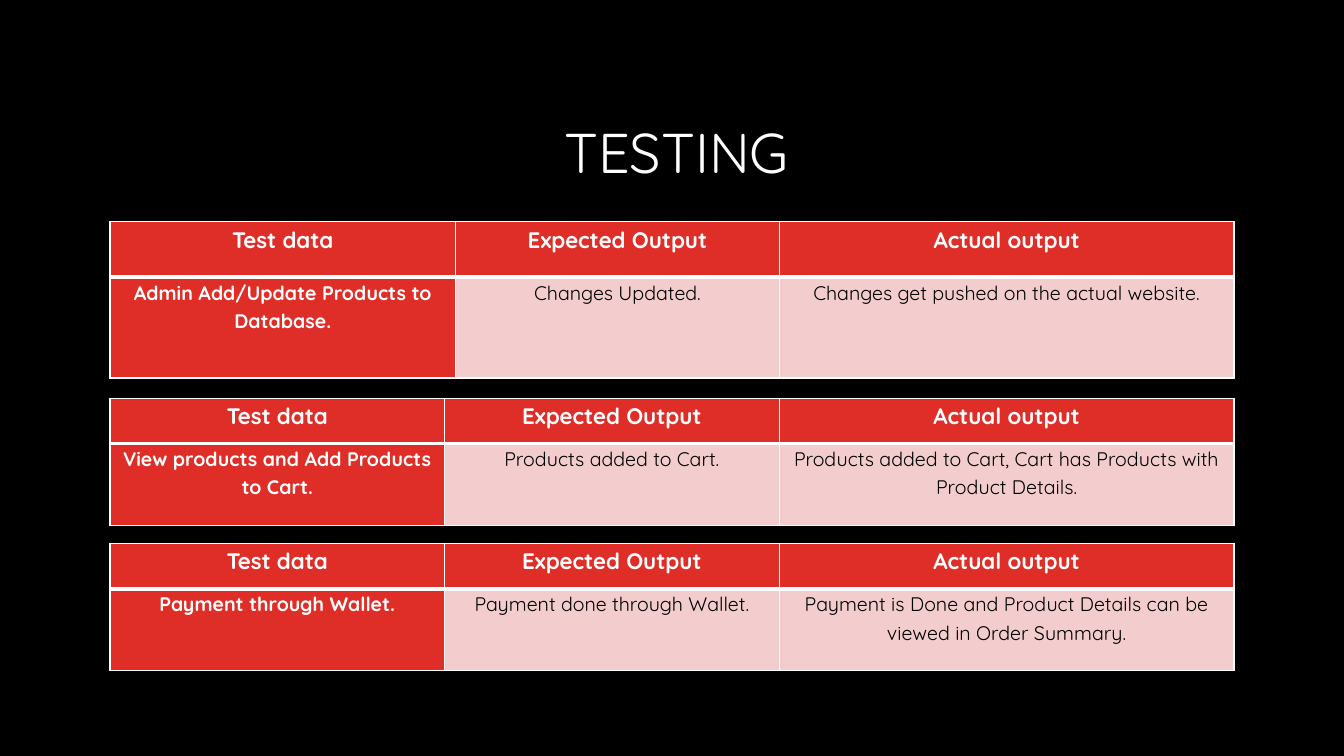
from lxml import etree
from pptx import Presentation
from pptx.dml.color import RGBColor
from pptx.enum.text import MSO_ANCHOR, PP_ALIGN
from pptx.oxml.ns import qn
from pptx.util import Inches, Pt

CENTER = PP_ALIGN.CENTER
MIDDLE = MSO_ANCHOR.MIDDLE
FONT = "Quicksand"
WHITE, BLACK, RED, PINK = "FFFFFF", "000000", "DF2E28", "F3CDCD"
HEADINGS = ["Test data", "Expected Output", "Actual output"]
HEADER = {"size": Pt(16), "bold": True}
LABEL = {"size": Pt(14), "bold": True}
VALUE = {"size": Pt(14), "bold": False}
TESTS = [
    (2.2, [3.43, 3.21, 4.51], [0.55, 1],
     ["Admin Add/Update Products to Database.", "Changes Updated.",
      "Changes get pushed on the actual website."]),
    (3.95, [3.32, 3.32, 4.51], [0.45, 0.81],
     ["View products and Add Products to Cart.", "Products added to Cart.",
      "Products added to Cart, Cart has Products with Product Details."]),
    (5.39, [3.32, 3.32, 4.51], [0.45, 0.81],
     ["Payment through Wallet.", "Payment done through Wallet.",
      "Payment is Done and Product Details can be viewed in Order Summary."]),
]


def rgb(value):
    return RGBColor.from_string(value)


def write(tf, text, color, style, spacing):
    p = tf.paragraphs[0]
    p.alignment = CENTER
    p.line_spacing = spacing
    r = p.add_run()
    r.text = text
    r.font.name = FONT
    r.font.color.rgb = rgb(color)
    for name, value in style.items():
        setattr(r.font, name, value)
    return p


def add_borders(cell, widths):
    tc_pr = cell._tc.get_or_add_tcPr()
    for i, (side, width) in enumerate(widths.items()):
        ln = etree.Element(qn(f"a:ln{side}"), w=str(Pt(width)))
        fill = etree.SubElement(ln, qn("a:solidFill"))
        etree.SubElement(fill, qn("a:srgbClr"), val=WHITE)
        tc_pr.insert(i, ln)


def fill_cell(cell, text, fill, color, style, widths):
    margins = {"margin_left": 0.07, "margin_right": 0.07,
               "margin_top": 0, "margin_bottom": 0}
    for name, value in margins.items():
        setattr(cell, name, Inches(value))
    cell.fill.solid()
    cell.fill.fore_color.rgb = rgb(fill)
    p = write(cell.text_frame, text, color, style, 1.15)
    p.space_after = Pt(10)
    add_borders(cell, widths)


def add_title(s, left, top, width, height):
    box = s.shapes.add_textbox(*map(Inches, (left, top, width, height)))
    tf = box.text_frame
    tf.word_wrap = True
    tf.vertical_anchor = MIDDLE
    write(tf, "TESTING", WHITE, {"size": Pt(40)}, 0.9)


def add_test(s, left, top, cols, rows, result):
    box = map(Inches, (left, top, sum(cols), sum(rows)))
    table = s.shapes.add_table(len(rows), len(cols), *box).table
    for column, width in zip(table.columns, cols):
        column.width = Inches(width)
    for row, height in zip(table.rows, rows):
        row.height = Inches(height)
    for i, (heading, text) in enumerate(zip(HEADINGS, result)):
        fill_cell(table.cell(0, i), heading, RED, WHITE, HEADER,
                  {"L": 1, "R": 1, "T": 1, "B": 3})
        look = (RED, WHITE, LABEL) if i == 0 else (PINK, BLACK, VALUE)
        fill_cell(table.cell(1, i), text, *look,
                  {"L": 1, "R": 1, "T": 3, "B": 1})


def main():
    prs = Presentation()
    prs.slide_width = Inches(13.33)
    prs.slide_height = Inches(7.5)
    s = prs.slides.add_slide(prs.slide_layouts[6])
    s.background.fill.solid()
    s.background.fill.fore_color.rgb = rgb(BLACK)
    add_title(s, 0.84, 0.84, 11.74, 1.41)
    for top, cols, rows, result in TESTS:
        add_test(s, 1.09, top, cols, rows, result)
    prs.save("out.pptx")


if __name__ == "__main__":
    main()
